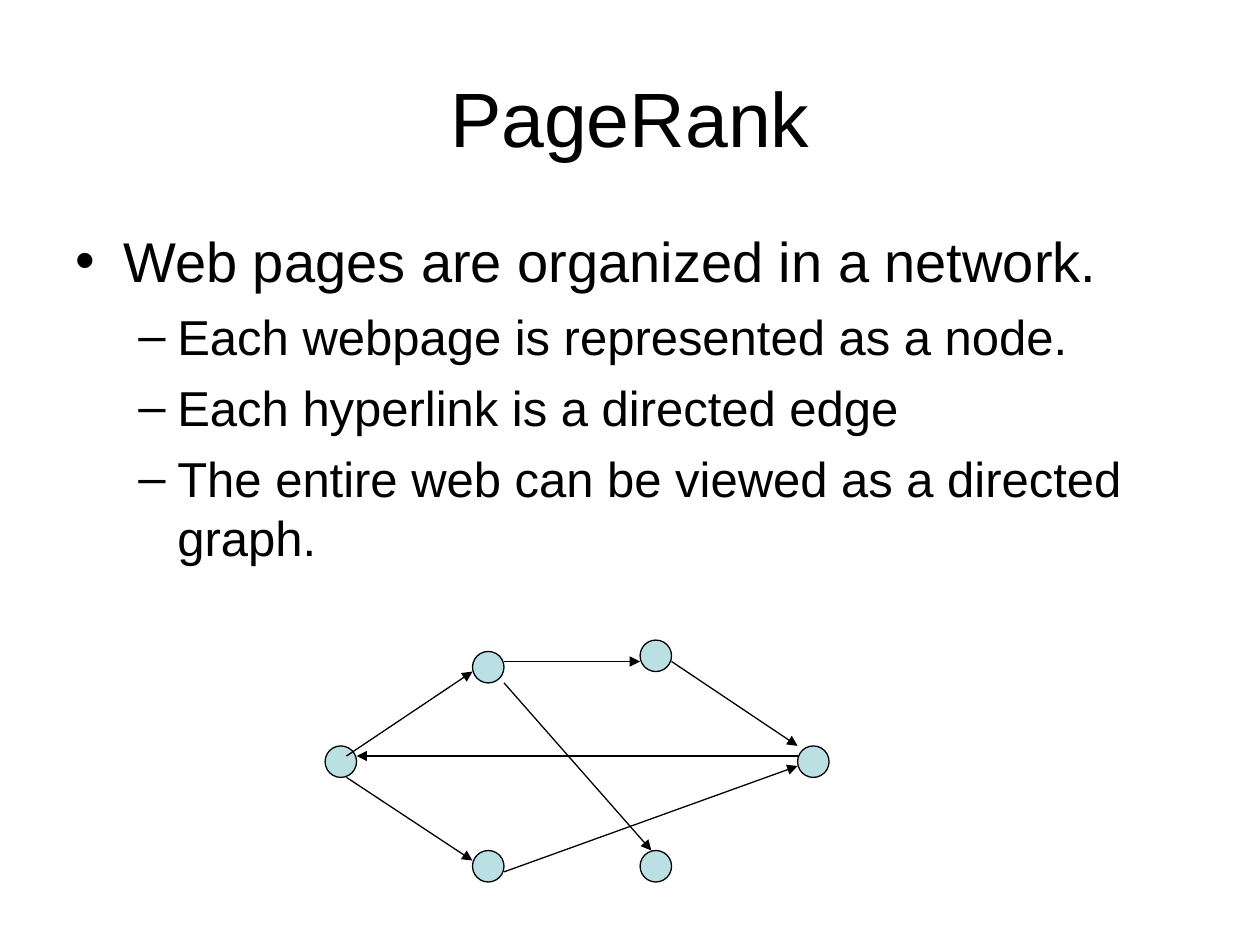
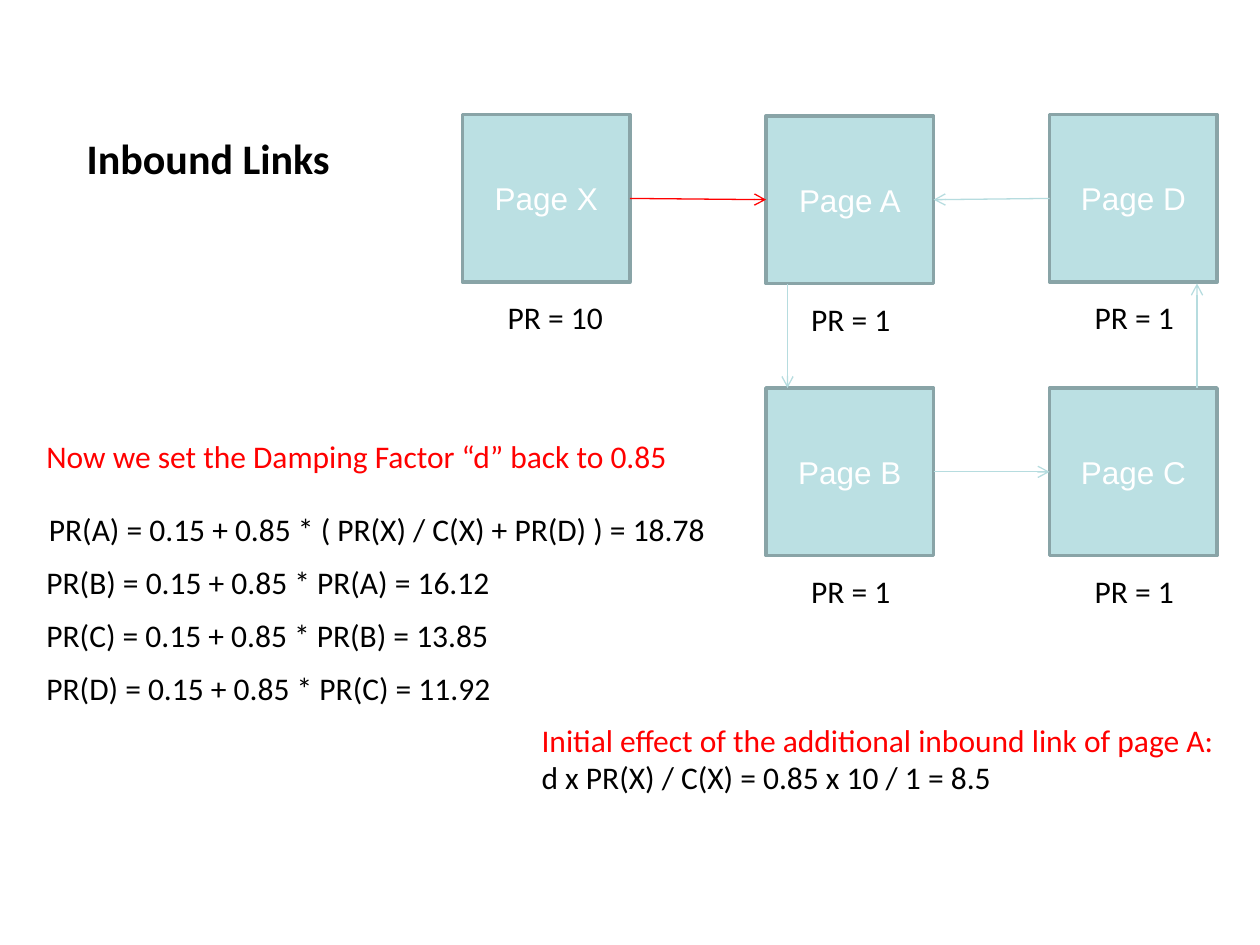
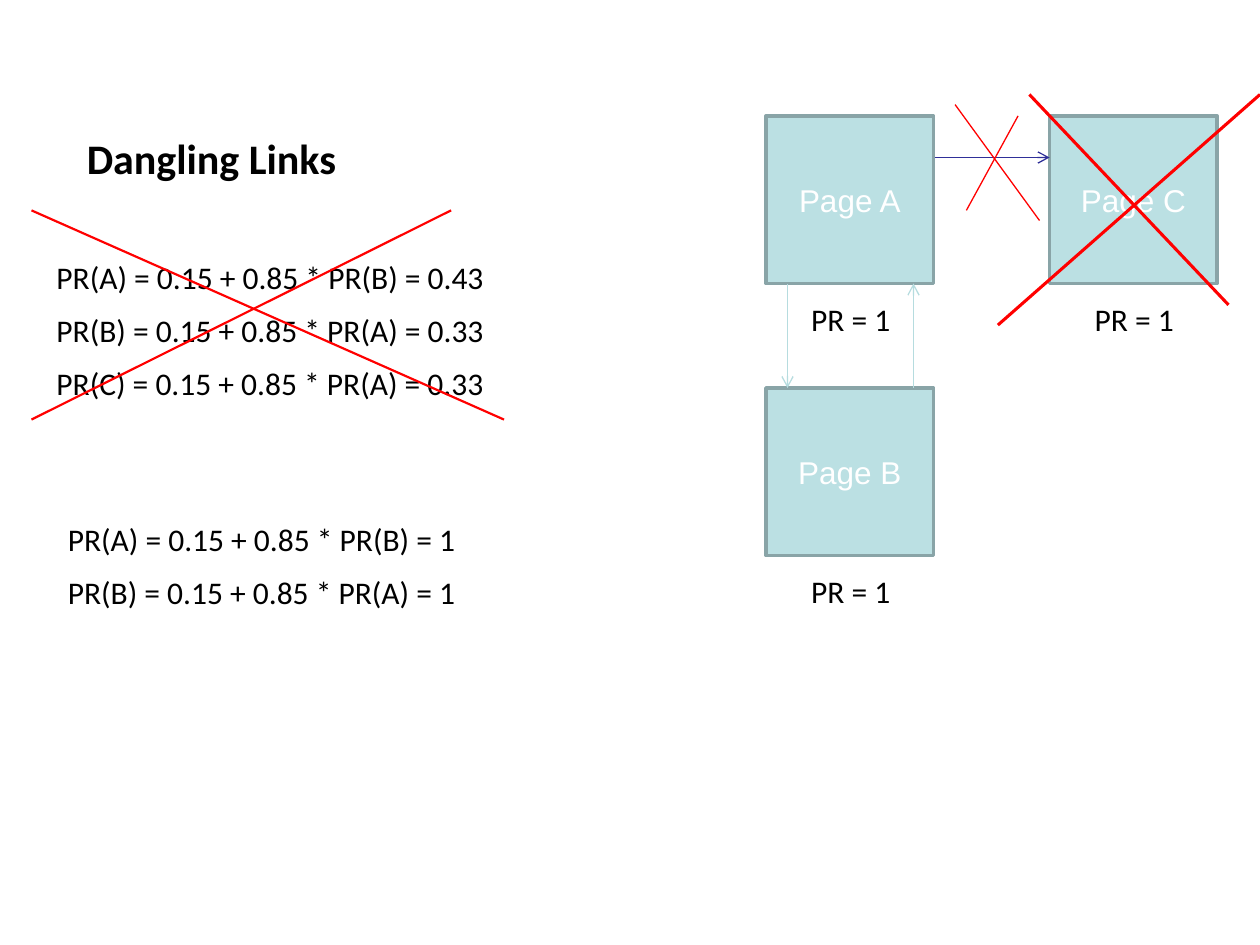
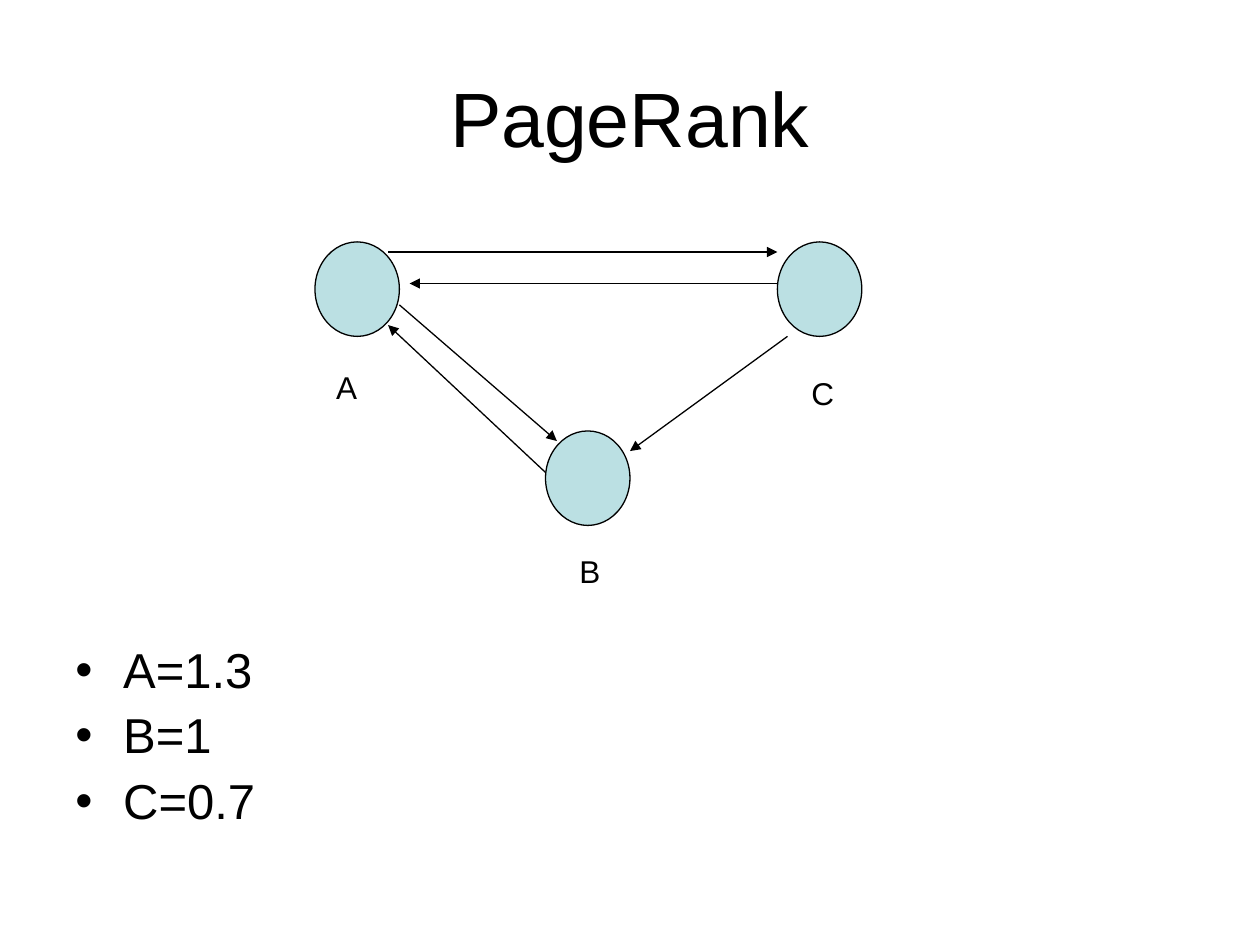
from lxml import etree
from pptx import Presentation
from pptx.dml.color import RGBColor
from pptx.enum.shapes import MSO_CONNECTOR, MSO_SHAPE
from pptx.enum.text import MSO_ANCHOR, MSO_AUTO_SIZE, PP_ALIGN
from pptx.oxml.ns import qn
from pptx.util import Inches, Pt

STRAIGHT = MSO_CONNECTOR.STRAIGHT
ELLIPSE, RECTANGLE = MSO_SHAPE.OVAL, MSO_SHAPE.RECTANGLE
MIDDLE = MSO_ANCHOR.MIDDLE
LEFT, CENTER = PP_ALIGN.LEFT, PP_ALIGN.CENTER
FIT_TEXT = MSO_AUTO_SIZE.SHAPE_TO_FIT_TEXT
LEFT_SIDE, RIGHT_SIDE = 1, 3

BLACK, WHITE, RED, NAVY = "000000", "FFFFFF", "FF0000", "2F2F98"
PALE_TEAL, TEAL_EDGE, LINK_TEAL = "BBE0E3", "89A4A7", "B6DCDF"

# Grid of the page diagrams
PAGE_SIDE = 1.33
COL_1, COL_2, COL_3 = 3.67, 6.08, 8.33
ROW_1, ROW_2 = 0.92, 3.08
OUTER_ROW = 0.91  # pages X and D sit a hair above page A
FORMULA_PITCH = 0.42
LABEL_SLACK = 0.04  # keeps tight labels on one line

# Bullet levels: character, text indent, hanging indent
BULLETS = [("•", 0.38, 0.38), ("–", 0.81, 0.31)]


def rgb(hex_color):
    return RGBColor.from_string(hex_color)


class Deck:
    """Holds the shared style and the slide being built."""

    sans, label_font = "Arial", "Calibri"

    def __init__(self):
        self.pres = Presentation()
        self.pres.slide_width, self.pres.slide_height = Inches(10), Inches(7.5)
        self.slide = None

    def new_slide(self):
        self.slide = self.pres.slides.add_slide(self.pres.slide_layouts[6])
        fill = self.slide.background.fill
        fill.solid()
        fill.fore_color.rgb = rgb(WHITE)

    def style(self, paragraph, text, size, font, color, bold=False, align=LEFT):
        paragraph.text = text
        paragraph.alignment = align
        paragraph.font.size = Pt(size)
        paragraph.font.name = font
        paragraph.font.bold = bold
        paragraph.font.color.rgb = rgb(color)

    def box(self, left, top, width, height):
        return self.slide.shapes.add_textbox(
            Inches(left), Inches(top), Inches(width), Inches(height)).text_frame

    def title(self, text):
        frame = self.box(0.5, 0.3, 9, 1.25)
        frame.word_wrap = True
        frame.vertical_anchor = MIDDLE
        self.style(frame.paragraphs[0], text, 44, self.sans, BLACK, align=CENTER)

    def bullets(self, top, height, items, line_spacing=None):
        """Items are (level, size, space before, text)."""
        frame = self.box(0.5, top, 9, height)
        frame.word_wrap = True
        for i, (level, size, before, text) in enumerate(items):
            paragraph = frame.add_paragraph() if i else frame.paragraphs[0]
            self.style(paragraph, text, size, self.sans, BLACK)
            paragraph.level = level
            paragraph.space_before = Pt(before)
            paragraph.line_spacing = line_spacing
            char, indent, hanging = BULLETS[level]
            props = paragraph._p.get_or_add_pPr()
            props.set("marL", str(Inches(indent)))
            props.set("indent", str(-Inches(hanging)))
            etree.SubElement(props, qn("a:buFont")).set("typeface", self.sans)
            etree.SubElement(props, qn("a:buChar")).set("char", char)

    def label(self, left, top, width, *lines, font=label_font, size=18, bold=False):
        """One-line-per-paragraph label; lines are text or (text, color)."""
        frame = self.box(left, top, width + LABEL_SLACK, 0.1 + len(lines) * size / 60)
        frame.word_wrap = False
        frame.auto_size = FIT_TEXT
        for i, line in enumerate(lines):
            text, color = (line, BLACK) if isinstance(line, str) else line
            paragraph = frame.add_paragraph() if i else frame.paragraphs[0]
            self.style(paragraph, text, size, font, color, bold)

    def heading(self, text, width):
        self.label(0.59, 1, width, text, size=24, bold=True)

    def formulas(self, left, top, width, formulas):
        for i, formula in enumerate(formulas):
            self.label(left, top + i * FORMULA_PITCH, width, formula)

    def shape(self, kind, left, top, width, height, edge, edge_width):
        shape = self.slide.shapes.add_shape(
            kind, Inches(left), Inches(top), Inches(width), Inches(height))
        shape.shadow.inherit = False
        shape.fill.solid()
        shape.fill.fore_color.rgb = rgb(PALE_TEAL)
        shape.line.color.rgb = rgb(edge)
        shape.line.width = Pt(edge_width)
        return shape

    def node(self, left, top, width, height):
        self.shape(ELLIPSE, left, top, width, height, BLACK, 0.75)

    def page(self, name, left, top, rank="1"):
        """Square for a web page with its rank below."""
        square = self.shape(RECTANGLE, left, top, PAGE_SIDE, PAGE_SIDE, TEAL_EDGE, 2)
        square.text_frame.vertical_anchor = MIDDLE
        self.style(square.text_frame.paragraphs[0], f"Page {name}", 18,
                   self.sans, WHITE, align=CENTER)
        self.label(left + 0.26, top + 1.41, 0.71 + 0.12 * len(rank), f"PR = {rank}")
        return square

    def line(self, start, end, color=BLACK, width=0.75, head=None):
        line = self.slide.shapes.add_connector(
            STRAIGHT, *(Inches(value) for value in (*start, *end)))
        line.line.color.rgb = rgb(color)
        line.line.width = Pt(width)
        if head:
            etree.SubElement(line.line._ln, qn("a:tailEnd")).set("type", head)
        etree.SubElement(line._element.spPr, qn("a:effectLst"))
        return line

    def edges(self, edges):
        for start, end in edges:
            self.line(start, end, head="triangle")

    def link(self, start, end, color=LINK_TEAL):
        self.line(start, end, color, head="arrow")

    def join(self, source, source_side, target, target_side, color=LINK_TEAL):
        """Arrow glued to the side middles of two pages."""
        arrow = self.line((0, 0), (1, 1), color, head="arrow")
        arrow.begin_connect(source, source_side)
        arrow.end_connect(target, target_side)

    def cross_out(self, width, *strokes):
        for start, end in strokes:
            self.line(start, end, RED, width)


def web_graph(deck):
    deck.new_slide()
    deck.title("PageRank")
    deck.bullets(1.75, 4.95, [
        (0, 32, 8, "Web pages are organized in a network."),
        (1, 28, 7, "Each webpage is represented as a node."),
        (1, 28, 7, "Each hyperlink is a directed edge"),
        (1, 28, 7, "The entire web can be viewed as a directed graph."),
    ])
    for left, top in [(2.58, 5.92), (5.08, 6.75), (5.08, 5.08),
                      (3.75, 6.75), (3.75, 5.17), (6.33, 5.92)]:
        deck.node(left, top, 0.25, 0.25)
    deck.edges([
        ((2.75, 6), (3.75, 5.33)),
        ((2.75, 6.17), (3.75, 6.83)),
        ((4, 5.42), (5.17, 6.75)),
        ((4, 5.25), (5.08, 5.25)),
        ((5.33, 5.25), (6.33, 5.92)),
        ((6.33, 6), (2.83, 6)),
        ((4, 6.92), (6.33, 6.08)),
    ])


def inbound_links(deck):
    deck.new_slide()
    deck.heading("Inbound Links", 2.13)

    # Pages and their links
    page_a = deck.page("A", COL_2, ROW_1)
    page_b = deck.page("B", COL_2, ROW_2)
    page_c = deck.page("C", COL_3, ROW_2)
    page_d = deck.page("D", COL_3, OUTER_ROW)
    page_x = deck.page("X", COL_1, OUTER_ROW, "10")
    deck.join(page_d, LEFT_SIDE, page_a, RIGHT_SIDE)
    deck.join(page_b, RIGHT_SIDE, page_c, LEFT_SIDE)
    deck.join(page_x, RIGHT_SIDE, page_a, LEFT_SIDE, RED)
    deck.link((6.25, 2.25), (6.25, ROW_2))
    deck.link((9.5, ROW_2), (9.5, 2.25))

    # Rank calculation
    deck.label(0.27, 3.42, 5.21,
               ("Now we set the Damping Factor “d” back to 0.85", RED))
    deck.label(0.29, 4, 5.46,
               "PR(A) = 0.15 + 0.85 * ( PR(X) / C(X) + PR(D) ) = 18.78")
    deck.formulas(0.27, 4.42, 3.72, [
        "PR(B) = 0.15 + 0.85 * PR(A) = 16.12",
        "PR(C) = 0.15 + 0.85 * PR(B) = 13.85",
        "PR(D) = 0.15 + 0.85 * PR(C) = 11.92",
    ])
    deck.label(4.2, 5.67, 5.54,
               ("Initial effect of the additional inbound link of page A:", RED),
               "d x PR(X) / C(X) = 0.85 x 10 / 1 = 8.5")


def dangling_links(deck):
    deck.new_slide()
    deck.heading("Dangling Links", 2.18)

    # Pages and their links
    deck.page("A", COL_2, ROW_1)
    deck.page("B", COL_2, ROW_2)
    deck.page("C", COL_3, ROW_1)
    deck.link((6.25, 2.25), (6.25, ROW_2))
    deck.link((7.25, ROW_2), (7.25, 2.25))
    deck.link((7.42, 1.25), (COL_3, 1.25), NAVY)

    # Ranks with and without page C
    deck.formulas(0.35, 2, 3.59, [
        "PR(A) = 0.15 + 0.85 * PR(B) = 0.43",
        "PR(B) = 0.15 + 0.85 * PR(A) = 0.33",
        "PR(C) = 0.15 + 0.85 * PR(A) = 0.33",
    ])
    deck.formulas(0.44, 4.08, 3.27, [
        "PR(A) = 0.15 + 0.85 * PR(B) = 1",
        "PR(B) = 0.15 + 0.85 * PR(A) = 1",
    ])

    # Page C, its link and the first ranks are dropped
    deck.cross_out(1.75, ((8.17, 0.75), (9.75, 2.42)), ((10, 0.75), (7.92, 2.58)))
    deck.cross_out(0.75, ((7.58, 0.83), (8.25, 1.75)), ((7.67, 1.67), (8.08, 0.92)))
    deck.cross_out(1.25, ((0.25, 1.67), (4, 3.33)), ((0.25, 3.33), (3.58, 1.67)))


def rank_example(deck):
    deck.new_slide()
    deck.title("PageRank")
    deck.bullets(5.08, 1.62,
                 [(0, 28, 7, rank) for rank in ("A=1.3", "B=1", "C=0.7")],
                 line_spacing=0.9)
    for left, top in [(2.5, 1.92), (4.33, 3.42), (6.17, 1.92)]:
        deck.node(left, top, 0.67, 0.75)
    for name, left, top, width in [("A", 2.57, 2.87, 0.36), ("B", 4.5, 4.33, 0.36),
                                   ("C", 6.34, 2.92, 0.38)]:
        deck.label(left, top, width, name, font=deck.sans)
    deck.edges([
        ((3.17, 2.42), (4.42, 3.5)),
        ((4.33, 3.75), (3.08, 2.58)),
        ((6.17, 2.25), (3.25, 2.25)),
        ((6.25, 2.67), (5, 3.58)),
        ((3.08, 2), (6.17, 2)),
    ])


def main():
    deck = Deck()
    for build in (web_graph, inbound_links, dangling_links, rank_example):
        build(deck)
    deck.pres.save("out.pptx")


if __name__ == "__main__":
    main()
